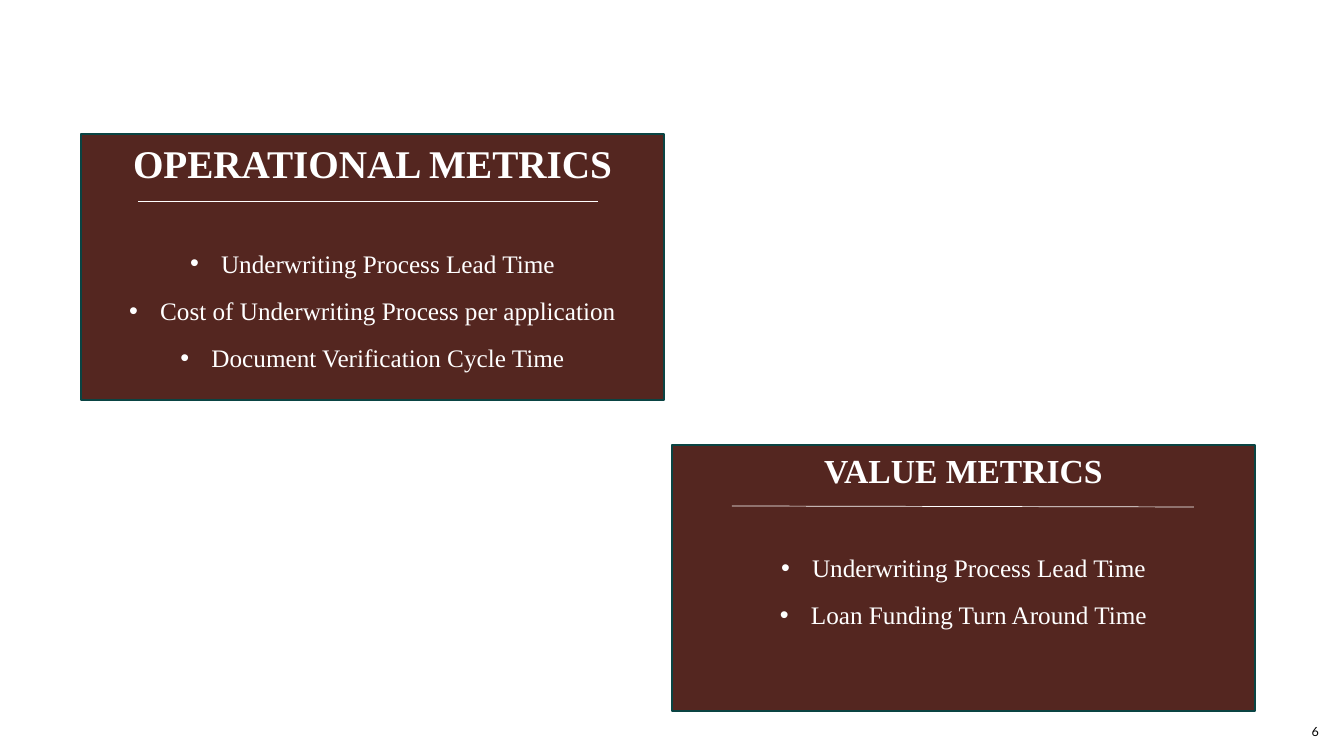
from dataclasses import dataclass

from lxml import etree
from pptx import Presentation
from pptx.dml.color import RGBColor
from pptx.enum.shapes import MSO_CONNECTOR
from pptx.enum.text import MSO_ANCHOR, MSO_AUTO_SIZE, PP_ALIGN
from pptx.oxml.ns import qn
from pptx.util import Emu, Pt

STRAIGHT = MSO_CONNECTOR.STRAIGHT
TOP, MIDDLE = MSO_ANCHOR.TOP, MSO_ANCHOR.MIDDLE
CENTER, RIGHT = PP_ALIGN.CENTER, PP_ALIGN.RIGHT
NO_AUTOFIT = MSO_AUTO_SIZE.NONE

COLORS = {"card": "542620", "border": "0A4443", "light": "FFFFFF", "dark": "000000"}
SERIF, SANS = "Times New Roman", "Lato"
EMU_PER_INCH, PX_PER_INCH = 914400, 100.8
SLIDE_WIDTH, SLIDE_HEIGHT = 1344, 756
CARD_WIDTH, CARD_HEIGHT = 583, 266
BULLET_INDENT = 31
LIST_GAP, ITEM_GAP = 42, 10  # points before the first and the later items


@dataclass(frozen=True)
class MetricCard:
    placeholder_index: int
    left: int
    top: int
    heading: str
    heading_size: int
    items: tuple[str, ...]
    rule: tuple[int, int, int, int]


CARDS = (
    MetricCard(1, 81, 134, "OPERATIONAL METRICS", 28,
               ("Underwriting Process Lead Time",
                "Cost of Underwriting Process per application",
                "Document Verification Cycle Time"),
               (138, 201, 598, 201)),
    MetricCard(2, 672, 445, "VALUE METRICS", 24,
               ("Underwriting Process Lead Time",
                "Loan Funding Turn Around Time"),
               (732, 506, 1194, 507)),
)


def px(length: int) -> Emu:
    return Emu(round(length * EMU_PER_INCH / PX_PER_INCH))


def color(name: str) -> RGBColor:
    return RGBColor.from_string(COLORS[name])


def write_text(paragraph, text: str, *, size: int, font: str = SERIF,
               fill: str = "light", bold: bool = False, align=CENTER,
               space_before: int = 0, line_spacing: float = 1.0,
               bullet: bool = False) -> None:
    """Fill one paragraph with text in a single format."""
    paragraph.alignment = align
    paragraph.space_before = Pt(space_before)
    paragraph.line_spacing = line_spacing
    run = paragraph.add_run()
    run.text = text
    run.font.size = Pt(size)
    run.font.name = font
    run.font.bold = bold
    run.font.color.rgb = color(fill)

    # Bullet and hanging indent
    indent = px(BULLET_INDENT) if bullet else 0
    properties = paragraph._p.get_or_add_pPr()
    properties.set("marL", str(indent))
    properties.set("indent", str(-indent))
    if bullet:
        etree.SubElement(properties, qn("a:buFont")).set("typeface", "Arial")
        etree.SubElement(properties, qn("a:buChar")).set("char", "•")
    else:
        etree.SubElement(properties, qn("a:buNone"))


def draw_rule(slide, ends: tuple[int, int, int, int]) -> None:
    rule = slide.shapes.add_connector(STRAIGHT, *map(px, ends))
    rule.line.color.rgb = color("light")
    rule.line.width = Pt(0.5)
    etree.SubElement(rule._element.spPr, qn("a:effectLst"))


def draw_card(slide, card: MetricCard) -> None:
    shape = slide.placeholders[card.placeholder_index]
    shape.left, shape.top = px(card.left), px(card.top)
    shape.width, shape.height = px(CARD_WIDTH), px(CARD_HEIGHT)
    shape.fill.solid()
    shape.fill.fore_color.rgb = color("card")
    shape.line.color.rgb = color("border")
    shape.line.width = Pt(1)

    frame = shape.text_frame
    frame.auto_size = NO_AUTOFIT
    frame.vertical_anchor = TOP
    write_text(frame.paragraphs[0], card.heading, size=card.heading_size, bold=True)
    for position, item in enumerate(card.items):
        write_text(frame.add_paragraph(), item, size=18, bullet=True, line_spacing=1.1,
                   space_before=ITEM_GAP if position else LIST_GAP)
    draw_rule(slide, card.rule)


def draw_page_number(slide, number: str) -> None:
    box = slide.shapes.add_textbox(px(1282), px(712), px(47), px(40))
    frame = box.text_frame
    frame.word_wrap = True
    frame.vertical_anchor = MIDDLE
    write_text(frame.paragraphs[0], number, size=9, font=SANS, fill="dark", align=RIGHT)


def main() -> None:
    presentation = Presentation()
    presentation.slide_width = px(SLIDE_WIDTH)
    presentation.slide_height = px(SLIDE_HEIGHT)

    # Two-content layout; the slide has no title
    slide = presentation.slides.add_slide(presentation.slide_layouts[3])
    title = slide.shapes.title._element
    title.getparent().remove(title)

    draw_page_number(slide, "6")
    for card in CARDS:
        draw_card(slide, card)
    presentation.save("out.pptx")


if __name__ == "__main__":
    main()
